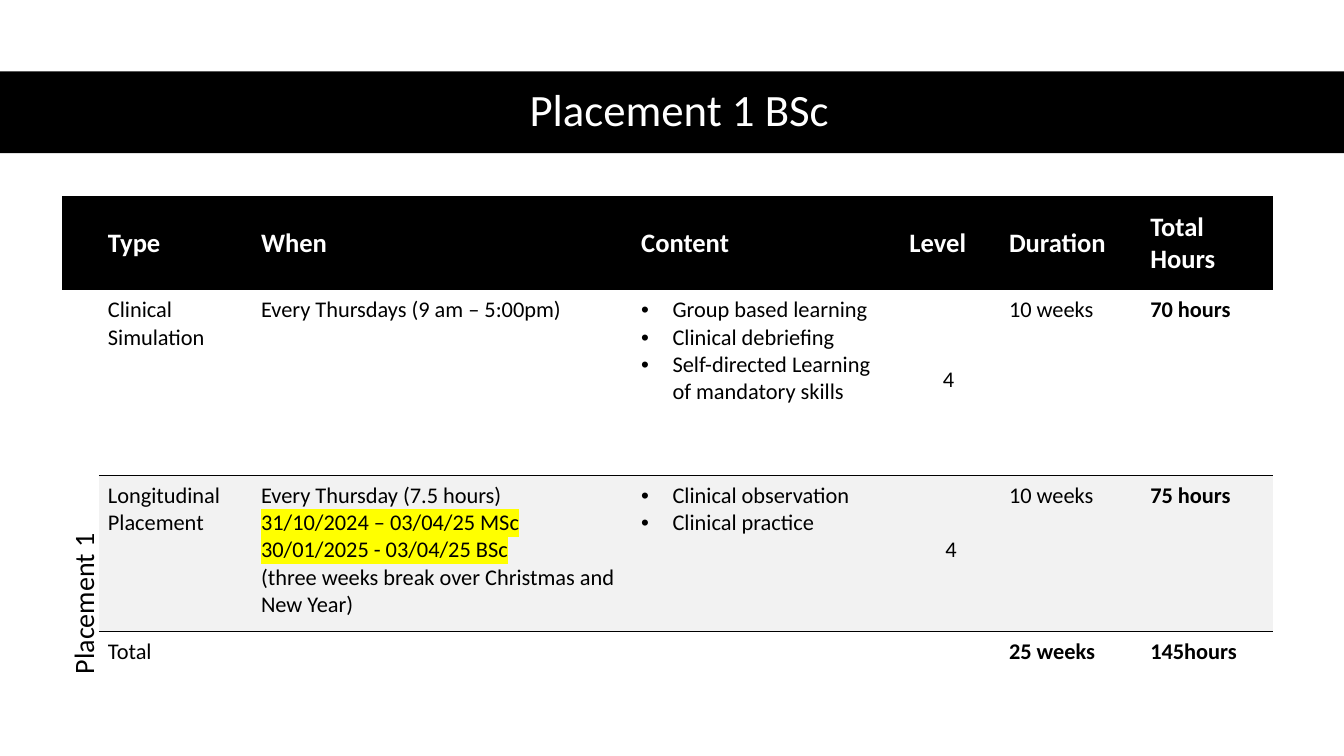
from lxml.etree import SubElement as Sub, Element
from pptx import Presentation
from pptx.dml.color import RGBColor as RGB
from pptx.enum.shapes import MSO_SHAPE as Shape
from pptx.enum.text import MSO_ANCHOR as Anchor, PP_ALIGN as Align
from pptx.oxml.ns import qn
from pptx.util import Cm, Pt

INK = {"black": "000000", "white": "FFFFFF", "band": "F2F2F2", "mark": "FFFF00"}
FONT = "Calibri"
PLAIN = "{2D5ABB26-0587-4C30-8999-92F81FD0307C}"
COLS = [0.94, 3.86, 9.58, 6.76, 2.51, 3.56, 3.33]
ROWS = [2.39, 4.67, 3.33, 1.3]
LEVEL, HOURS = 4, 6
HEAD = {"size": Pt(19), "bold": True, "ink": "white"}
BODY = {"size": Pt(16), "bold": False, "ink": "black"}
SIDE = {"size": Pt(20), "bold": False, "ink": "black"}
CELLS = [
    [None, "Type", "When", "Content", "Level", "Duration", "Total Hours"],
    ["Placement 1", "Clinical Simulation", "Every Thursdays (9 am – 5:00pm)",
     ["•Group based learning", "•Clinical debriefing",
      "•Self-directed Learning of mandatory skills"],
     "4 ", "10 weeks", "70 hours"],
    [None, "Longitudinal Placement",
     ["Every Thursday (7.5 hours)", "=31/10/2024 – 03/04/25 MSc",
      "=30/01/2025 - 03/04/25 BSc",
      "(three weeks break over Christmas and New Year)"],
     ["•Clinical observation", "•Clinical practice"],
     "4", "10 weeks", "75 hours"],
    [None, "Total", None, None, None, "25 weeks", "145hours"],
]


def style(run, form):
    for key, val in form.items():
        if key == "ink":
            run.font.color.rgb = RGB.from_string(INK[val])
        else:
            setattr(run.font, key, val)
    run.font.name = FONT


def bullet(par):
    props = par._p.get_or_add_pPr()
    props.set("marL", str(Cm(0.79)))
    props.set("indent", str(-Cm(0.79)))
    Sub(props, qn("a:buFont"), typeface="Arial")
    Sub(props, qn("a:buChar"), char="•")


def mark(run):
    """Highlight a run; the element must follow its colour."""
    tag = Element(qn("a:highlight"))
    Sub(tag, qn("a:srgbClr"), val=INK["mark"])
    run._r.rPr.find(qn("a:solidFill")).addnext(tag)


def edge(cell, side):
    line = Element(qn(f"a:ln{side}"), w=str(Pt(1)))
    Sub(Sub(line, qn("a:solidFill")), qn("a:srgbClr"), val=INK["black"])
    cell._tc.get_or_add_tcPr().insert(0, line)


def write(cell, text, form, align=None):
    """Fill a cell; a leading • makes a bullet, a leading = a highlight."""
    frame = cell.text_frame
    for num, item in enumerate([text] if isinstance(text, str) else text):
        par = frame.add_paragraph() if num else frame.paragraphs[0]
        if item[0] == "•":
            bullet(par)
        if align is not None:
            par.alignment = align
        run = par.add_run()
        run.text = item.lstrip("•=")
        style(run, form)
        if item[0] == "=":
            mark(run)


def banner(slide, text, left, top, width, height):
    bar = slide.shapes.add_shape(Shape.RECTANGLE, left, top, width, height)
    bar.shadow.inherit = False
    bar.fill.solid()
    bar.fill.fore_color.rgb = RGB.from_string(INK["black"])
    bar.line.fill.background()

    title = slide.shapes.title
    box = {"left": left + Cm(1.55), "top": top, "width": Cm(31.14), "height": height}
    for key, val in box.items():
        setattr(title, key, val)
    # Bring the title in front of the bar
    bar._element.addnext(title._element)
    title.text_frame.vertical_anchor = Anchor.MIDDLE
    par = title.text_frame.paragraphs[0]
    par.alignment, par.line_spacing = Align.CENTER, 0.9
    run = par.add_run()
    run.text = text
    style(run, {"size": Pt(32), "ink": "white"})


def format_cell(cell, row, col):
    pads = {"left": 0.23, "top": 0.15 if row else 0.33, "right": 0.18, "bottom": 0.33}
    for key, val in pads.items():
        setattr(cell, f"margin_{key}", Cm(val))
    mid = row == 0 or col in (0, LEVEL)
    cell.vertical_anchor = Anchor.MIDDLE if mid else Anchor.TOP
    fill = "black" if row == 0 else "band" if row == 2 and col else None
    if fill:
        cell.fill.solid()
        cell.fill.fore_color.rgb = RGB.from_string(INK[fill])
    else:
        cell.fill.background()
    if col and row in (1, 2):
        edge(cell, "B" if row == 1 else "T")


def schedule(slide, left, top):
    frame = slide.shapes.add_table(len(ROWS), len(COLS), left, top,
                                   Cm(sum(COLS)), Cm(sum(ROWS)))
    table = frame.table
    table.horz_banding = False
    next(frame._element.iter(qn("a:tableStyleId"))).text = PLAIN
    for col, width in zip(table.columns, COLS):
        col.width = Cm(width)
    for row, height in zip(table.rows, ROWS):
        row.height = Cm(height)
    table.cell(1, 0).merge(table.cell(3, 0))
    table.cell(3, 1).merge(table.cell(3, 3))

    for row, line in enumerate(CELLS):
        for col, text in enumerate(line):
            cell = table.cell(row, col)
            format_cell(cell, row, col)
            if not text:
                continue
            form = HEAD if row == 0 else BODY if col else SIDE
            if row and (col == HOURS or row == 3 and col > LEVEL):
                form = {**form, "bold": True}
            write(cell, text, form, Align.CENTER if row and col == LEVEL else None)
    table.cell(1, 0)._tc.get_or_add_tcPr().set("vert", "vert270")


def main():
    deck = Presentation()
    deck.slide_width, deck.slide_height = Cm(33.87), Cm(19.05)
    slide = deck.slides.add_slide(deck.slide_layouts[5])
    banner(slide, "Placement 1 BSc", 0, Cm(1.8), deck.slide_width, Cm(2.06))
    schedule(slide, Cm(1.55), Cm(4.93))
    deck.save("out.pptx")


if __name__ == "__main__":
    main()
